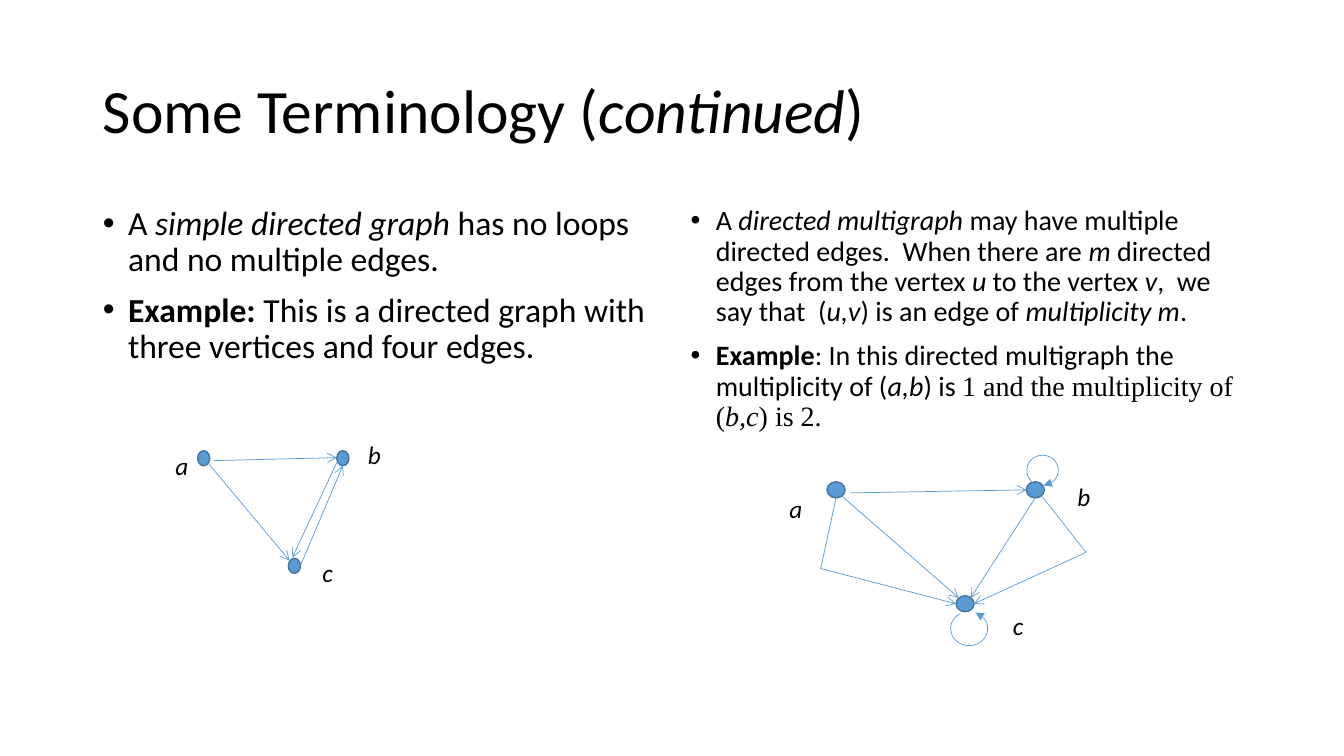
from dataclasses import dataclass
from math import cos, radians, sin

from lxml import etree
from pptx import Presentation
from pptx.dml.color import RGBColor
from pptx.enum.shapes import MSO_CONNECTOR, MSO_SHAPE
from pptx.enum.text import MSO_ANCHOR, MSO_AUTO_SIZE, PP_ALIGN
from pptx.oxml.ns import qn
from pptx.util import Inches, Pt

ELLIPSE = MSO_SHAPE.OVAL
STRAIGHT = MSO_CONNECTOR.STRAIGHT
MIDDLE, TOP = MSO_ANCHOR.MIDDLE, MSO_ANCHOR.TOP
LEFT = PP_ALIGN.LEFT
NO_AUTOFIT = MSO_AUTO_SIZE.NONE


@dataclass(frozen=True)
class Theme:
    text: RGBColor = RGBColor(0x00, 0x00, 0x00)
    vertex: RGBColor = RGBColor(0x5B, 0x9B, 0xD5)
    outline: RGBColor = RGBColor(0x43, 0x73, 0x9E)
    font: str = "Calibri"
    serif: str = "Times New Roman"
    title: int = 44
    simple: int = 24
    multi: int = 20
    label: int = 18
    edge: float = 0.5
    border: float = 1
    spacing: float = 0.9
    gap: int = 10


@dataclass(frozen=True)
class Box:
    left: float
    top: float
    width: float
    height: float

    def point(self, x, y):
        return (Inches(self.left + self.width * x / 100),
                Inches(self.top + self.height * y / 100))


THEME = Theme()

TITLE = [("Some Terminology (", ""), ("continued", "i"), (")", "")]
SIMPLE_TEXT = [
    [("A ", ""), ("simple directed graph ", "i"),
     ("has no loops and no multiple edges.", "")],
    [("Example: ", "b"),
     ("This is a directed graph with three vertices and four edges.", "")],
]
MULTI_TEXT = [
    [("A ", ""), ("directed multigraph", "i"),
     (" may have multiple directed edges.  When there are ", ""), ("m", "i"),
     (" directed edges from the vertex ", ""), ("u", "i"),
     (" to the vertex ", ""), ("v", "i"), (",  we say that  (", ""),
     ("u,v", "i"), (") is an edge of ", ""), ("multiplicity m", "i"), (".", "")],
    [("Example", "b"),
     (": In this directed multigraph the multiplicity of (", ""),
     ("a,b", "i"), (") is ", ""), ("1 and the multiplicity of (", "s"),
     ("b,c", "si"), (") is 2.", "s")],
]

SIMPLE_GRAPH = {
    "vertex_size": (0.12, 0.15),
    "label_size": (0.24, 0.4),
    "vertices": [(20.8, 14.8), (76, 14.8), (56.8, 68.2)],
    "labels": {"a": (5.6, 8.5), "b": (82, 3), "c": (64, 61.5)},
    "routes": [
        [(24.8, 16), (73.6, 14.5)],
        [(22.8, 17.5), (54.8, 65.5)],
        [(73.6, 17), (56, 64)],
        [(59.2, 68), (76, 18.5)],
    ],
    "loops": [],
}
MULTI_GRAPH = {
    "vertex_size": (0.18, 0.16),
    "label_size": (0.35, 0.53),
    "vertices": [(19.8, 18), (69.2, 18), (51.8, 74.5)],
    "labels": {"a": (5.8, 17), "b": (77.2, 11.5), "c": (61.2, 75.5)},
    "routes": [
        [(23.2, 19.5), (67, 18)],
        [(21.2, 21), (50.2, 71.5)],
        [(69.2, 22), (53.2, 71.5)],
        [(19.8, 22), (16, 57), (49.5, 74.5)],
        [(70.8, 21), (81.8, 49), (54, 74.5)],
    ],
    "loops": [
        ((71, 8.3), (3.9, 7.5), (133, 446)),
        ((52.8, 86.8), (4.6, 8.5), (240, -70)),
    ],
}


def write(paragraph, parts, size):
    for words, style in parts:
        run = paragraph.add_run()
        run.text = words
        run.font.name = THEME.serif if "s" in style else THEME.font
        run.font.size = Pt(size)
        run.font.color.rgb = THEME.text
        run.font.bold = "b" in style
        run.font.italic = "i" in style
    paragraph.alignment = LEFT


def place(holder, box, anchor):
    holder.left, holder.top = box.point(0, 0)
    holder.width, holder.height = Inches(box.width), Inches(box.height)
    frame = holder.text_frame
    frame.auto_size = NO_AUTOFIT
    frame.vertical_anchor = anchor
    return frame


def add_title(holder, box):
    heading = place(holder, box, MIDDLE).paragraphs[0]
    heading.line_spacing = THEME.spacing
    write(heading, TITLE, THEME.title)


def add_bullets(holder, box, items, size):
    frame = place(holder, box, TOP)
    for index, parts in enumerate(items):
        item = frame.add_paragraph() if index else frame.paragraphs[0]
        item.line_spacing = THEME.spacing
        item.space_before = Pt(THEME.gap if index else 0)
        item.space_after = Pt(0)
        properties = item._p.get_or_add_pPr()
        properties.set("marL", str(Inches(0.25)))
        properties.set("indent", str(-Inches(0.25)))
        etree.SubElement(properties, qn("a:buFont"), typeface="Arial")
        etree.SubElement(properties, qn("a:buChar"), char="•")
        write(item, parts, size)


def style_edge(edge, head=None):
    edge.line.color.rgb = THEME.vertex
    edge.line.width = Pt(THEME.edge)
    if head:
        etree.SubElement(edge.line._get_or_add_ln(), qn("a:tailEnd"), type=head)


def add_route(shapes, box, stops):
    for start, end in zip(stops, stops[1:]):
        edge = shapes.add_connector(STRAIGHT, *box.point(*start), *box.point(*end))
        style_edge(edge, "arrow" if end == stops[-1] else None)
        etree.SubElement(edge._element.spPr, qn("a:effectLst"))


def add_loop(shapes, box, centre, radii, sweep, steps=24):
    first, last = sweep
    angles = [radians(first + (last - first) * step / steps)
              for step in range(steps + 1)]
    outline = [box.point(centre[0] + radii[0] * cos(angle),
                         centre[1] + radii[1] * sin(angle)) for angle in angles]
    builder = shapes.build_freeform(*outline[0])
    builder.add_line_segments(outline[1:], close=False)
    loop = builder.convert_to_shape()
    loop.shadow.inherit = False
    loop.fill.background()
    style_edge(loop, "triangle")


def add_graph(shapes, box, graph):
    width, height = (Inches(side) for side in graph["vertex_size"])
    for centre in graph["vertices"]:
        x, y = box.point(*centre)
        vertex = shapes.add_shape(ELLIPSE, x - width // 2, y - height // 2, width, height)
        vertex.shadow.inherit = False
        vertex.fill.solid()
        vertex.fill.fore_color.rgb = THEME.vertex
        vertex.line.color.rgb = THEME.outline
        vertex.line.width = Pt(THEME.border)
    for stops in graph["routes"]:
        add_route(shapes, box, stops)
    for loop in graph["loops"]:
        add_loop(shapes, box, *loop)
    label_size = [Inches(side) for side in graph["label_size"]]
    for letter, corner in graph["labels"].items():
        label = shapes.add_textbox(*box.point(*corner), *label_size).text_frame
        label.word_wrap = True
        write(label.paragraphs[0], [(letter, "i")], THEME.label)


def main():
    deck = Presentation()
    deck.slide_width, deck.slide_height = Inches(13.33), Inches(7.5)
    slide = deck.slides.add_slide(deck.slide_layouts[3])
    title, simple, multi = slide.placeholders
    add_title(title, Box(0.92, 0.4, 11.5, 1.45))
    add_bullets(simple, Box(0.92, 2, 5.67, 4.76), SIMPLE_TEXT, THEME.simple)
    add_bullets(multi, Box(6.75, 2, 5.67, 4.76), MULTI_TEXT, THEME.multi)
    add_graph(slide.shapes, Box(1.5, 4.25, 2.5, 2), SIMPLE_GRAPH)
    add_graph(slide.shapes, Box(7.5, 4.5, 4, 2), MULTI_GRAPH)
    deck.save("out.pptx")


if __name__ == "__main__":
    main()
